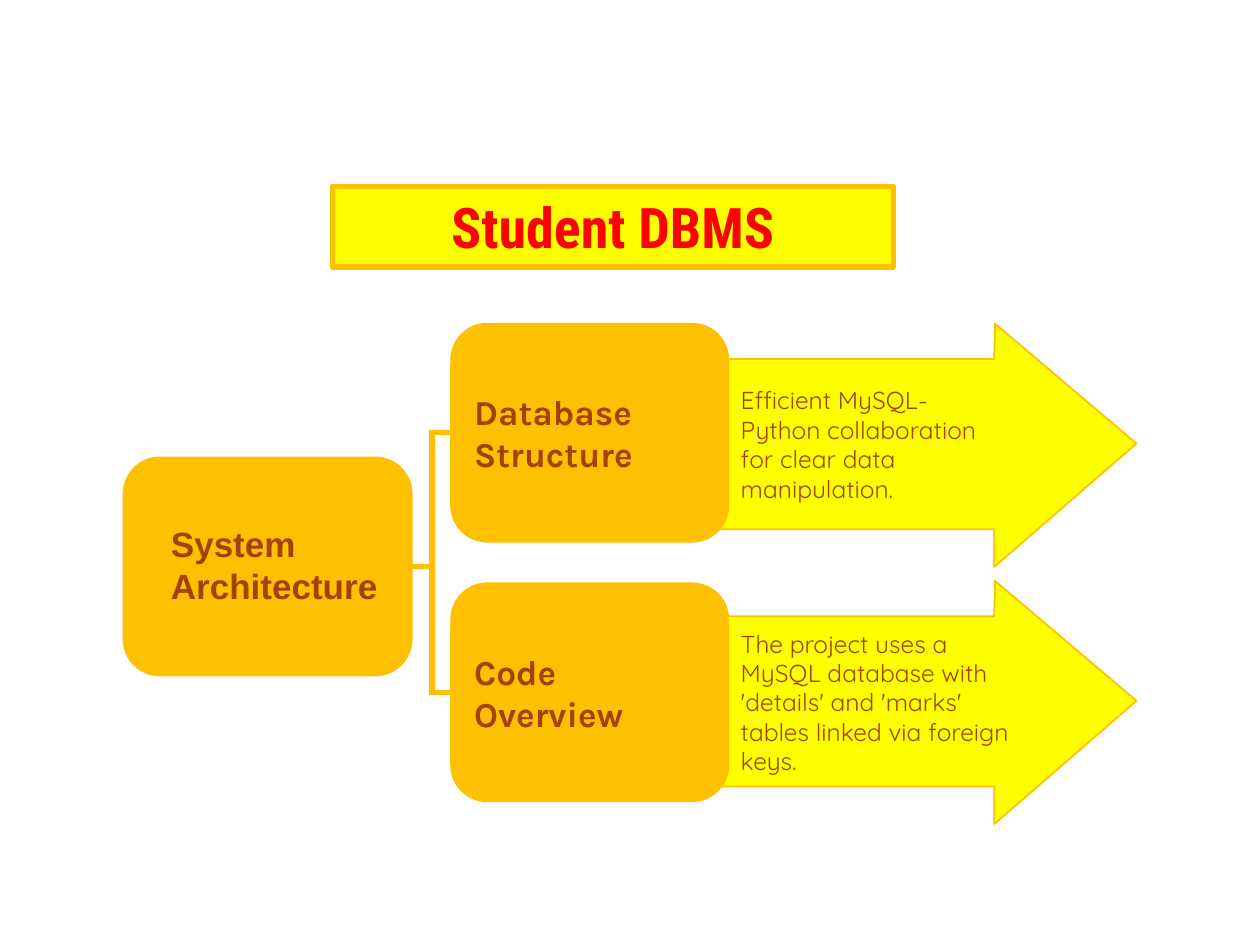
import dataclasses

import pptx
import pptx.dml.color
import pptx.enum.shapes
import pptx.enum.text
import pptx.oxml.ns
import pptx.util
import lxml.etree

Pt = pptx.util.Pt
SHAPES = pptx.enum.shapes.MSO_SHAPE
ALIGN = pptx.enum.text.PP_ALIGN
ANCHOR = pptx.enum.text.MSO_ANCHOR


@dataclasses.dataclass(frozen=True)
class Theme:
    amber: str = "FFC000"
    yellow: str = "FFFF00"
    brown: str = "A44205"
    red: str = "FF0000"
    thin: float = 1
    thick: float = 3
    title: tuple = ("Roboto Condensed", 32, True)
    root: tuple = ("Arial", 20, True)
    branch: tuple = ("Karla", 20, True)
    detail: tuple = ("Quicksand", 14, False)


THEME = Theme()


def colour(value):
    return pptx.dml.color.RGBColor.from_string(value)


def points(*values):
    return [Pt(value) for value in values]


def paint(shape, fill, width):
    shape.shadow.inherit = False
    shape.fill.solid()
    shape.fill.fore_color.rgb = colour(fill)
    shape.line.color.rgb = colour(THEME.amber)
    shape.line.width = Pt(width)


def write(shape, text, style, ink=THEME.brown, align=ALIGN.LEFT, anchor=ANCHOR.TOP):
    frame = shape.text_frame
    frame.word_wrap = True
    frame.vertical_anchor = anchor
    para = frame.paragraphs[0]
    para.alignment = align
    span = para.add_run()
    span.text = text
    name, size, bold = style
    for key, value in {"name": name, "size": Pt(size), "bold": bold}.items():
        setattr(span.font, key, value)
    span.font.color.rgb = colour(ink)


def add_title(page, box, text):
    banner = page.shapes.add_shape(SHAPES.RECTANGLE, *points(*box))
    paint(banner, THEME.yellow, THEME.thick)
    write(banner, text, THEME.title, THEME.red, ALIGN.CENTER)


def add_label(page, box, text, style):
    label = page.shapes.add_textbox(*points(*box))
    write(label, text, style)


def add_node(page, box):
    node = page.shapes.add_shape(SHAPES.ROUNDED_RECTANGLE, *points(*box))
    paint(node, THEME.amber, THEME.thin)
    return node


def add_arrow(page, box):
    left, top, width, height = box
    neck = left + 157
    shaft_top, shaft_bottom = top + 20.2, top + 117.5
    outline = [
        (neck, shaft_top), (neck + 0.5, top), (left + width, top + 68.5),
        (neck, top + height), (neck, shaft_bottom), (left, shaft_bottom),
    ]
    builder = page.shapes.build_freeform(*points(left, shaft_top))
    builder.add_line_segments([points(*corner) for corner in outline], close=True)
    paint(builder.convert_to_shape(), THEME.yellow, THEME.thin)


def add_root(page, box, text):
    left, top, width, height = box
    node = add_node(page, box)
    add_label(page, (left + 20, top + 33.8, width - 19.5, 55.4), text, THEME.root)
    return node


def add_branch(page, box, arrow_top, name, detail, detail_box):
    left, top, width, height = box
    add_arrow(page, (left + 153.3, arrow_top, 238.3, 139))
    add_label(page, detail_box, detail, THEME.detail)
    node = add_node(page, box)
    write(node, name, THEME.branch, anchor=ANCHOR.MIDDLE)
    return node


def add_line(page, start, end):
    line = page.shapes.add_connector(
        pptx.enum.shapes.MSO_CONNECTOR.STRAIGHT, *points(*start, *end))
    line.line.color.rgb = colour(THEME.amber)
    line.line.width = Pt(THEME.thick)
    properties = line._element.spPr
    lxml.etree.SubElement(properties, pptx.oxml.ns.qn("a:effectLst"))
    return line


def add_bracket(page, root, branches, trunk):
    def middle(node):
        return (node.top + node.height / 2) / Pt(1)

    heights = [middle(node) for node in branches]
    add_line(page, (trunk, heights[0]), (trunk, heights[-1]))
    for node, height in zip(branches, heights):
        tie = add_line(page, (node.left / Pt(1), height), (trunk - 1.5, height))
        tie.begin_connect(node, 1)
    stem = add_line(page, (trunk, middle(root)),
                    ((root.left + root.width) / Pt(1), middle(root)))
    stem.end_connect(root, 3)


def main():
    deck = pptx.Presentation()
    deck.slide_width, deck.slide_height = points(720, 540)
    page = deck.slides.add_slide(deck.slide_layouts[6])
    root = add_root(page, (70.6, 261.4, 164.6, 124.6), "System Architecture")
    rows = [
        (185, 185, "Database Structure",
         "Efficient MySQL-Python collaboration for clear data manipulation.",
         (416.2, 216.7, 163.4, 74.9)),
        (333.3, 332, "Code Overview",
         "The project uses a MySQL database with 'details' and 'marks' "
         "tables linked via foreign keys.",
         (416.2, 355.7, 168.5, 91.4)),
    ]
    branches = [add_branch(page, (257.8, top, 158.4, 124.6), *parts)
                for top, *parts in rows]
    add_bracket(page, root, branches, 246.8)
    add_title(page, (190, 106.6, 320.4, 46), "Student DBMS")
    deck.save("out.pptx")


if __name__ == "__main__":
    main()
